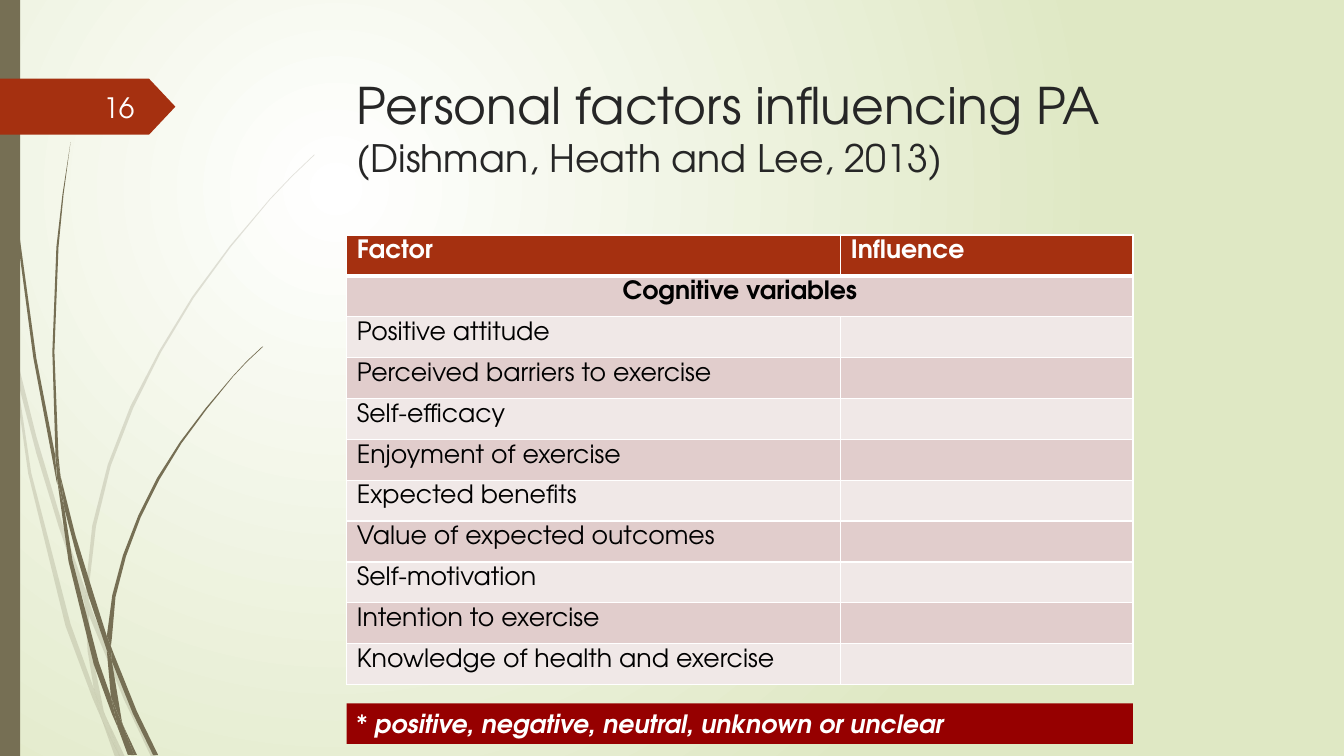
"""Build the slide on personal factors influencing physical activity."""
from lxml import etree
from pptx import Presentation, util as u
from pptx.dml.color import RGBColor
from pptx.enum import shapes, text
from pptx.oxml.ns import qn

TITLE = "Personal factors influencing PA "
CITATION = "(Dishman, Heath and Lee, 2013)"
PAGE = "16"
HEADER = ("Factor", "Influence")
GROUP = "Cognitive variables"
FACTORS = [
    "Positive attitude",
    "Perceived barriers to exercise",
    "Self-efficacy",
    "Enjoyment of exercise",
    "Expected benefits",
    "Value of expected outcomes",
    "Self-motivation",
    "Intention to exercise",
    "Knowledge of health and exercise",
]
NOTE = [("* ", False), ("positive, negative, neutral, unknown or unclear", True)]

PALE_GRASS = [
    [(7.9, 252), (6.5, 231.8), (0, 203), (0, 215.3), (7.2, 247.7)],
    [(41.8, 375.8), (60.5, 431.3), (61.2, 421.9), (44.6, 374.4), (26, 312),
     (10.1, 248.4), (12.2, 270.7), (25.9, 323.6)],
    [(66.2, 437), (63.4, 429.1), (63.4, 439.2), (88.6, 499.7), (108, 540.7),
     (111.6, 540.7), (91.4, 498.2)],
    [(85.7, 540.7), (89.3, 540.7), (75.6, 511.9)],
    [(67, 491.8), (50.4, 445.7), (22.3, 337.7), (12.2, 270.7), (7.9, 252),
     (20.2, 338.4), (46.8, 447.1), (66.2, 499), (72.7, 514.1), (71.3, 509)],
    [(60.5, 431.3), (62.6, 465.1), (67, 491.8), (69.1, 498.2), (75.6, 511.9),
     (74.2, 508.3), (65.5, 465.1), (63.4, 439.2), (63.4, 437.8)],
    [(63.4, 420.5), (68.6, 375.8), (79.2, 332.6), (95.3, 291.2), (115.2, 251.3),
     (138.4, 212.8), (164.9, 176.4), (193, 142.6), (208.8, 126), (224.6, 110.9),
     (224.6, 110.2), (208.1, 126), (193, 141.8), (164.2, 175.7), (137.3, 212),
     (113.8, 250.6), (93.2, 290.2), (77, 331.9), (65.9, 375.7), (61.2, 420.5),
     (61.2, 421.9), (63.4, 429.1)],
    [(72.7, 514.1), (82.1, 540.7), (85.7, 540.7)],
    [(63.4, 437.8), (63.4, 439.2), (63.4, 429.1), (61.2, 421.9), (60.5, 431.3)],
    [(69.1, 498.2), (67, 491.8), (71.3, 509), (72.7, 514.1), (85.7, 540.7), (75.6, 511.9)],
]
DARK_GRASS = [
    [(5, 79.2), (12.2, 167.8), (23.8, 255.6), (40.3, 343.4), (41, 346.3), (39.6, 329),
     (39.6, 326.2), (25.9, 255.6), (13.7, 167), (5.8, 78.5), (3.6, 34.6), (2.9, 0),
     (2.2, 0), (2.9, 34.6)],
    [(63.4, 426.2), (76.3, 464.4), (76.3, 455.8), (76.3, 454.3), (67, 424.8),
     (54, 382.9), (43.2, 339.8), (46.1, 363.6), (54.3, 394.9)],
    [(81.4, 467.3), (79.2, 461.5), (79.9, 472.3), (95, 509.8), (109.4, 539.3),
     (113, 539.3), (97.9, 508.3)],
    [(79.2, 497.5), (70.6, 473), (51.8, 400.3), (46.1, 363.6), (41, 343.4), (49, 401),
     (67, 474.5), (79.9, 509.8), (84.2, 519.8), (83.5, 516.2)],
    [(43.2, 339.8), (41.8, 326.2), (38.9, 251.3), (41.8, 176.4), (45.4, 139),
     (50.4, 101.5), (44.6, 139), (40.3, 176.4), (37.4, 251.3), (39.6, 323.3)],
    [(95.8, 539.3), (97.9, 539.3), (87.8, 517.7)],
    [(41, 343.4), (46.1, 363.6), (43.2, 339.8), (39.6, 323.3), (39.6, 326.2)],
    [(79.9, 455.8), (82.5, 426.4), (90, 397.4), (100.5, 369.5), (113.8, 342.7),
     (129.6, 316.7), (147.6, 292.3), (166.3, 269.3), (176.4, 258.5), (187.9, 247.7),
     (187.2, 247.7), (176.4, 257.8), (166.3, 268.6), (146.9, 291.6), (128.5, 315.9),
     (112.3, 341.3), (98.7, 368.5), (87.8, 396.7), (80.2, 425.2), (76.3, 454.3),
     (79.2, 461.5)],
    [(84.2, 519.8), (91.4, 539.3), (94.3, 539.3)],
    [(76.3, 464.4), (79.2, 497.5), (83.5, 508.3), (87.8, 517.7), (87.1, 515.5),
     (79.9, 472.3), (78.5, 468.7)],
    [(76.3, 464.4), (78.5, 468.7), (79.9, 472.3), (79.2, 461.5), (76.3, 454.3),
     (76.3, 455.8)],
    [(83.5, 508.3), (79.2, 497.5), (83.5, 516.2), (84.2, 519.8), (93.6, 539.3),
     (95.8, 539.3), (87.8, 517.7)],
]

THEME = {
    "font": "TeX Gyre Adventor",
    "title": 36, "citation": 27, "page": 20, "body": 18,
    "glow": "FFFFFF", "edge": "DFE8C4", "stem": "766F54", "accent": "A53010",
    "note": "960000", "ink": "262626", "black": "000000", "white": "FFFFFF",
    "band": ("E1CDCC", "F0E8E7"),
}
LEFT, WIDTH = 247.7, 561.6
COLUMNS = (352.8, 208.8)
ROW = 29.2


def rgb(name):
    return RGBColor.from_string(THEME.get(name, name))


def box(*lengths):
    return [u.Pt(v) for v in lengths]


def paint(sp, color):
    sp.shadow.inherit = False
    sp.fill.solid()
    sp.fill.fore_color.rgb = rgb(color)
    sp.line.fill.background()


def write(p, runs, color, italic=False):
    for content, size, bold in runs:
        r = p.add_run()
        r.text = content
        r.font.name = THEME["font"]
        r.font.size = u.Pt(THEME[size])
        r.font.bold, r.font.italic = bold, italic
        r.font.color.rgb = rgb(color)


def add_blade(s, outline, alpha):
    corners = [box(*point) for point in outline]
    builder = s.shapes.build_freeform(*corners[0], scale=1.0)
    builder.add_line_segments(corners[1:], close=True)
    sp = builder.convert_to_shape()
    paint(sp, "stem")
    if alpha < 100:
        color = sp._element.spPr.find(qn("a:solidFill"))[0]
        etree.SubElement(color, qn("a:alpha"), val=str(alpha * 1000))


def set_background(s):
    fill = s.background.fill
    fill.gradient()
    for stop, color in zip(fill.gradient_stops, ("glow", "edge")):
        stop.color.rgb = rgb(color)
    grad = next(s._element.iter(qn("a:gradFill")))
    grad.remove(grad.find(qn("a:lin")))
    radial = etree.SubElement(grad, qn("a:path"), path="circle")
    etree.SubElement(radial, qn("a:fillToRect"), l="50000", t="50000", r="100000", b="100000")


def set_borders(cell, top, bottom):
    tc_pr = cell._tc.get_or_add_tcPr()
    for i, (side, width) in enumerate((("L", 1), ("R", 1), ("T", top), ("B", bottom))):
        ln = etree.Element(qn("a:ln" + side), w=str(u.Pt(width)))
        solid = etree.SubElement(ln, qn("a:solidFill"))
        etree.SubElement(solid, qn("a:srgbClr"), val=THEME["white"])
        tc_pr.insert(i, ln)


def add_factor_table(s):
    rows = [HEADER, (GROUP, "")] + [(factor, "") for factor in FACTORS]
    frame = s.shapes.add_table(len(rows), 2, *box(LEFT, 167.8, WIDTH, ROW * len(rows)))
    table = frame.table
    for column, width in zip(table.columns, COLUMNS):
        column.width = u.Pt(width)
    for i, row in enumerate(rows):
        table.rows[i].height = u.Pt(ROW)
        for j, content in enumerate(row):
            cell = table.cell(i, j)
            cell.fill.solid()
            cell.fill.fore_color.rgb = rgb(THEME["band"][(i - 1) % 2] if i else "accent")
            set_borders(cell, 3 if i == 1 else 1, 1 if i else 3)
            if content:
                write(cell.text_frame.paragraphs[0], [(content, "body", i < 2)],
                      "black" if i else "white")
    table.cell(1, 0).merge(table.cell(1, 1))
    table.cell(1, 0).text_frame.paragraphs[0].alignment = text.PP_ALIGN.CENTER


def add_text(s, place, runs, color):
    tf = s.shapes.add_textbox(*box(*place)).text_frame
    tf.word_wrap = True
    write(tf.paragraphs[0], runs, color)
    return tf


def main():
    prs = Presentation()
    prs.slide_width, prs.slide_height = box(960, 540)
    s = prs.slides.add_slide(prs.slide_layouts[6])
    set_background(s)
    for grass, alpha in ((PALE_GRASS, 20), (DARK_GRASS, 100)):
        for outline in grass:
            add_blade(s, outline, alpha)

    kinds = shapes.MSO_SHAPE
    paint(s.shapes.add_shape(kinds.RECTANGLE, *box(0, 0, 14.4, 540)), "stem")
    tag = s.shapes.add_shape(kinds.PENTAGON, *box(0, 56.2, 125.3, 40))
    tag.adjustments[0] = 0.47
    paint(tag, "accent")

    add_text(s, (LEFT, 49.5, WIDTH, 100.8),
             [(TITLE, "title", False), (CITATION, "citation", False)], "ink")
    add_factor_table(s)
    tf = add_text(s, (41.8, 61.9, 61.2, 28.8), [(PAGE, "page", False)], "white")
    tf.vertical_anchor = text.MSO_ANCHOR.MIDDLE
    tf.paragraphs[0].alignment = text.PP_ALIGN.RIGHT

    note = s.shapes.add_shape(kinds.RECTANGLE, *box(LEFT, 502.4, WIDTH, 29))
    paint(note, "note")
    note.text_frame.vertical_anchor = text.MSO_ANCHOR.TOP
    p = note.text_frame.paragraphs[0]
    p.alignment = text.PP_ALIGN.LEFT
    write(p, [(content, "body", bold) for content, bold in NOTE], "white", italic=True)
    prs.save("out.pptx")


if __name__ == "__main__":
    main()
